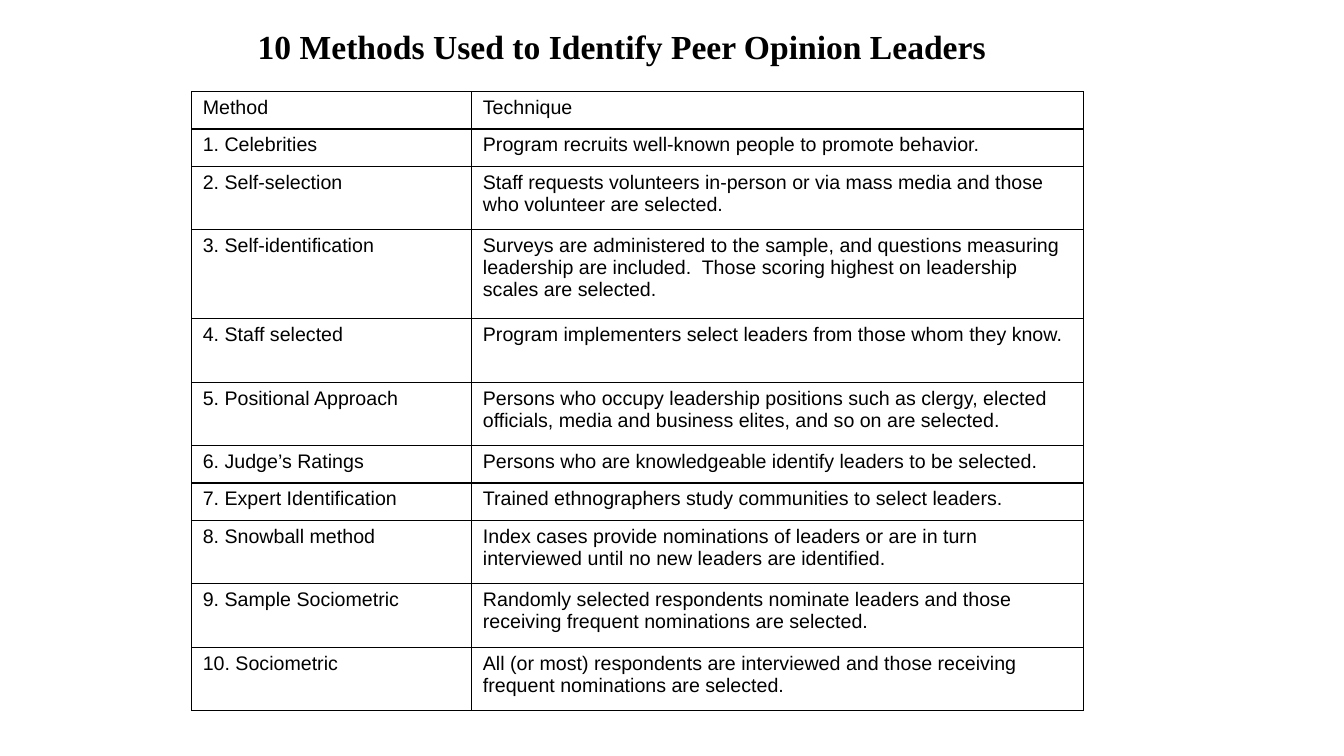
from lxml.etree import SubElement
from pptx import Presentation
from pptx.dml.color import RGBColor
from pptx.enum.text import MSO_ANCHOR as Anchor, MSO_AUTO_SIZE as AutoSize, PP_ALIGN as Align
from pptx.oxml.ns import qn
from pptx.util import Cm, Pt

BLACK = RGBColor(0, 0, 0)
INSET_X, INSET_Y = Cm(0.28), Cm(0.13)
COLUMN_WIDTHS = (7.06, 15.42)
LINE_HEIGHTS = {1: 0.94, 2: 1.6, 3: 2.24}  # row height in cm by lines of text

# Method, technique, lines the row makes room for
METHODS = [
    ("Method", "Technique", 1),
    ("1. Celebrities", "Program recruits well-known people to promote behavior.", 1),
    ("2. Self-selection", "Staff requests volunteers in-person or via mass media and those "
     "who volunteer are selected.", 2),
    ("3. Self-identification", "Surveys are administered to the sample, and questions measuring "
     "leadership are included.  Those scoring highest on leadership scales are selected.", 3),
    ("4. Staff selected", "Program implementers select leaders from those whom they know.", 2),
    ("5. Positional Approach", "Persons who occupy leadership positions such as clergy, elected "
     "officials, media and business elites, and so on are selected.", 2),
    ("6. Judge’s Ratings", "Persons who are knowledgeable identify leaders to be selected.", 1),
    ("7. Expert Identification", "Trained ethnographers study communities to select leaders.", 1),
    ("8. Snowball method", "Index cases provide nominations of leaders or are in turn "
     "interviewed until no new leaders are identified.", 2),
    ("9. Sample Sociometric", "Randomly selected respondents nominate leaders and those "
     "receiving frequent nominations are selected.", 2),
    ("10. Sociometric", "All (or most) respondents are interviewed and those receiving "
     "frequent nominations are selected.", 2),
]


def write(tf, text, font="Arial", size=14, bold=False, align=Align.LEFT):
    p = tf.paragraphs[0]
    p.alignment = align
    r = p.add_run()
    r.text = text
    r.font.name = font
    r.font.size = Pt(size)
    r.font.bold = bold
    r.font.color.rgb = BLACK


def set_insets(box):
    """Set the margins of a cell or a text frame."""
    box.margin_left = box.margin_right = INSET_X
    box.margin_top = box.margin_bottom = INSET_Y


def add_borders(cell):
    tc_pr = cell._tc.get_or_add_tcPr()
    for side in ("lnL", "lnR", "lnT", "lnB"):
        ln = SubElement(tc_pr, qn(f"a:{side}"), w=str(Pt(1)))
        fill = SubElement(ln, qn("a:solidFill"))
        SubElement(fill, qn("a:srgbClr"), val=str(BLACK))


def add_title(s, text):
    title = s.shapes.title
    title.left, title.top = Cm(6.12), Cm(0.53)
    title.width, title.height = Cm(19.1), Cm(1.3)
    tf = title.text_frame
    set_insets(tf)
    tf.word_wrap = False
    tf.auto_size = AutoSize.SHAPE_TO_FIT_TEXT
    tf.vertical_anchor = Anchor.TOP
    write(tf, text, font="Times New Roman", size=24, bold=True, align=Align.CENTER)


def add_methods_table(s):
    heights = [LINE_HEIGHTS[lines] for *_, lines in METHODS]
    table = s.shapes.add_table(len(METHODS), len(COLUMN_WIDTHS), Cm(4.83), Cm(2.31),
                               Cm(sum(COLUMN_WIDTHS)), Cm(sum(heights))).table
    table.first_row = table.horz_banding = False
    for column, width in zip(table.columns, COLUMN_WIDTHS):
        column.width = Cm(width)
    for row, height, (*texts, _) in zip(table.rows, heights, METHODS):
        row.height = Cm(height)
        for cell, text in zip(row.cells, texts):
            set_insets(cell)
            add_borders(cell)
            cell.fill.background()
            write(cell.text_frame, text)


def main():
    prs = Presentation()
    prs.slide_width, prs.slide_height = Cm(33.87), Cm(19.05)
    s = prs.slides.add_slide(prs.slide_layouts[5])
    add_methods_table(s)
    add_title(s, "10 Methods Used to Identify Peer Opinion Leaders")
    prs.save("out.pptx")


if __name__ == "__main__":
    main()
